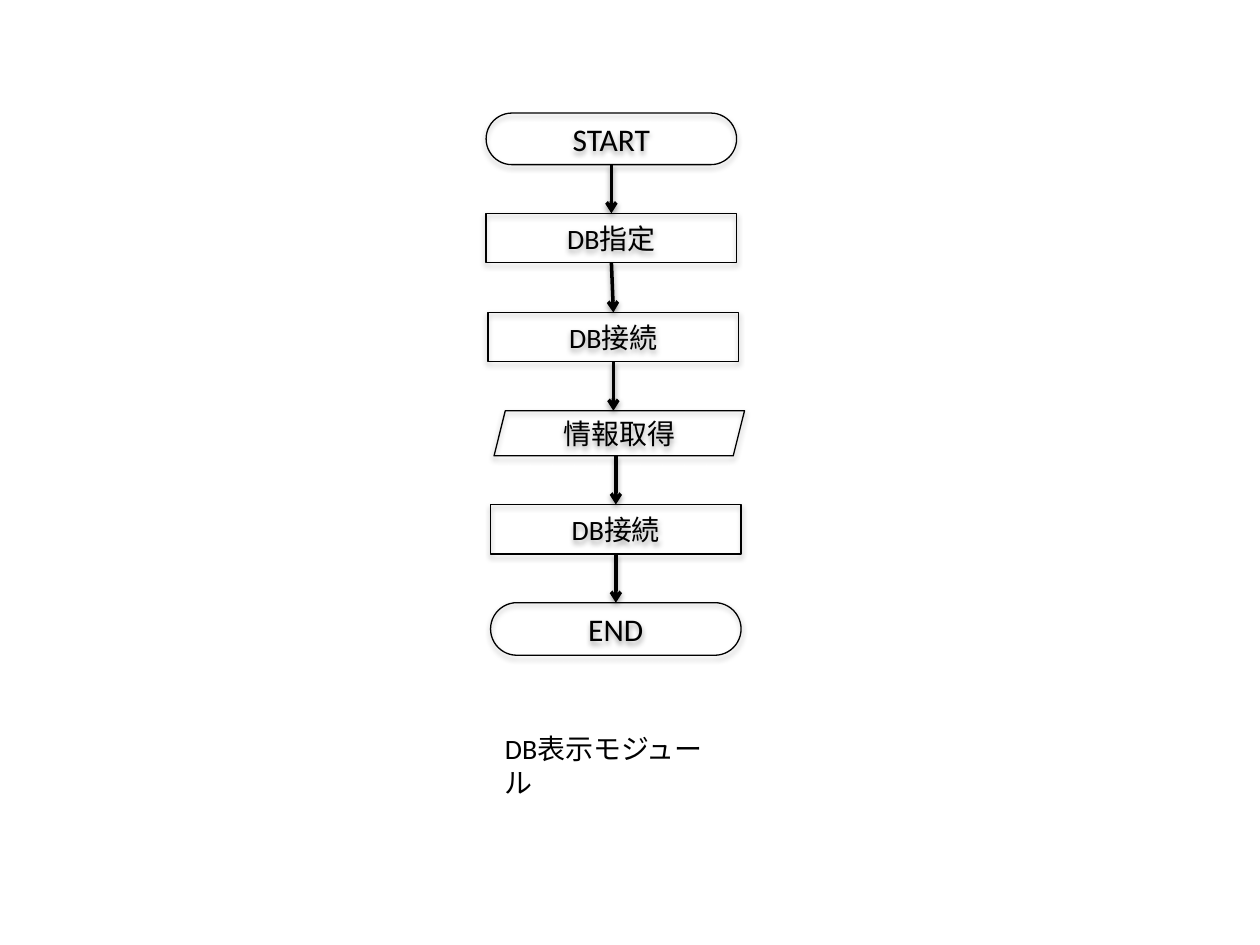
"""Build a flowchart slide for the database display module."""
from lxml import etree
from pptx import Presentation
from pptx import util as u
from pptx.dml.color import RGBColor
from pptx.enum import shapes, text
from pptx.oxml.ns import qn

COLORS = {"ink": "000000"}
FONT = "Calibri"
TERMINAL = shapes.MSO_SHAPE.ROUNDED_RECTANGLE
PROCESS = shapes.MSO_SHAPE.RECTANGLE
DATA = shapes.MSO_SHAPE.PARALLELOGRAM
STEP_WIDTH = 5.05

STEPS = [
    ("START", TERMINAL, 9.8, 2.28, 1.04),
    ("DB指定", PROCESS, 9.8, 4.3, 0.99),
    ("DB接続", PROCESS, 9.84, 6.3, 0.99),
    ("情報取得", DATA, 9.96, 8.28, 0.91),
    ("DB接続", PROCESS, 9.89, 10.17, 1.0),
    ("END", TERMINAL, 9.89, 12.15, 1.06),
]
CAPTION = "DB表示モジュール"
CAPTION_BOX = (9.93, 14.63, 4.93, 0.94)


def color(name):
    return RGBColor.from_string(COLORS[name])


def write(shape, content, size, alignment):
    paragraph = shape.text_frame.paragraphs[0]
    paragraph.text = content
    paragraph.alignment = alignment
    paragraph.font.name = FONT
    paragraph.font.size = u.Pt(size)
    paragraph.font.color.rgb = color("ink")


def add_step(slide, label, kind, left, top, height):
    shape = slide.shapes.add_shape(
        kind, u.Cm(left), u.Cm(top), u.Cm(STEP_WIDTH), u.Cm(height))
    if kind == TERMINAL:
        shape.adjustments[0] = 0.5
    shape.fill.background()
    shape.line.color.rgb = color("ink")
    shape.line.width = u.Pt(0.75)
    shape.text_frame.vertical_anchor = text.MSO_ANCHOR.MIDDLE
    write(shape, label, 18 if kind == TERMINAL else 16, text.PP_ALIGN.CENTER)


def add_arrow(slide, source, target):
    _, source_kind, source_left, source_top, source_height = source
    _, target_kind, target_left, target_top, _ = target
    start_x = (target_left if source_kind == DATA else source_left) + STEP_WIDTH / 2
    end_x = (source_left if target_kind == DATA else target_left) + STEP_WIDTH / 2
    arrow = slide.shapes.add_connector(
        shapes.MSO_CONNECTOR.STRAIGHT,
        u.Cm(start_x), u.Cm(source_top + source_height), u.Cm(end_x), u.Cm(target_top))
    arrow.line.color.rgb = color("ink")
    arrow.line.width = u.Pt(2)
    etree.SubElement(arrow.line._get_or_add_ln(), qn("a:tailEnd"), type="arrow")


presentation = Presentation()
presentation.slide_width, presentation.slide_height = u.Cm(25.4), u.Cm(19.05)
slide = presentation.slides.add_slide(presentation.slide_layouts[6])

for step in STEPS:
    add_step(slide, *step)
for source, target in zip(STEPS, STEPS[1:]):
    add_arrow(slide, source, target)

caption = slide.shapes.add_textbox(*map(u.Cm, CAPTION_BOX))
caption.text_frame.word_wrap = True
write(caption, CAPTION, 16, text.PP_ALIGN.LEFT)

presentation.save("out.pptx")
